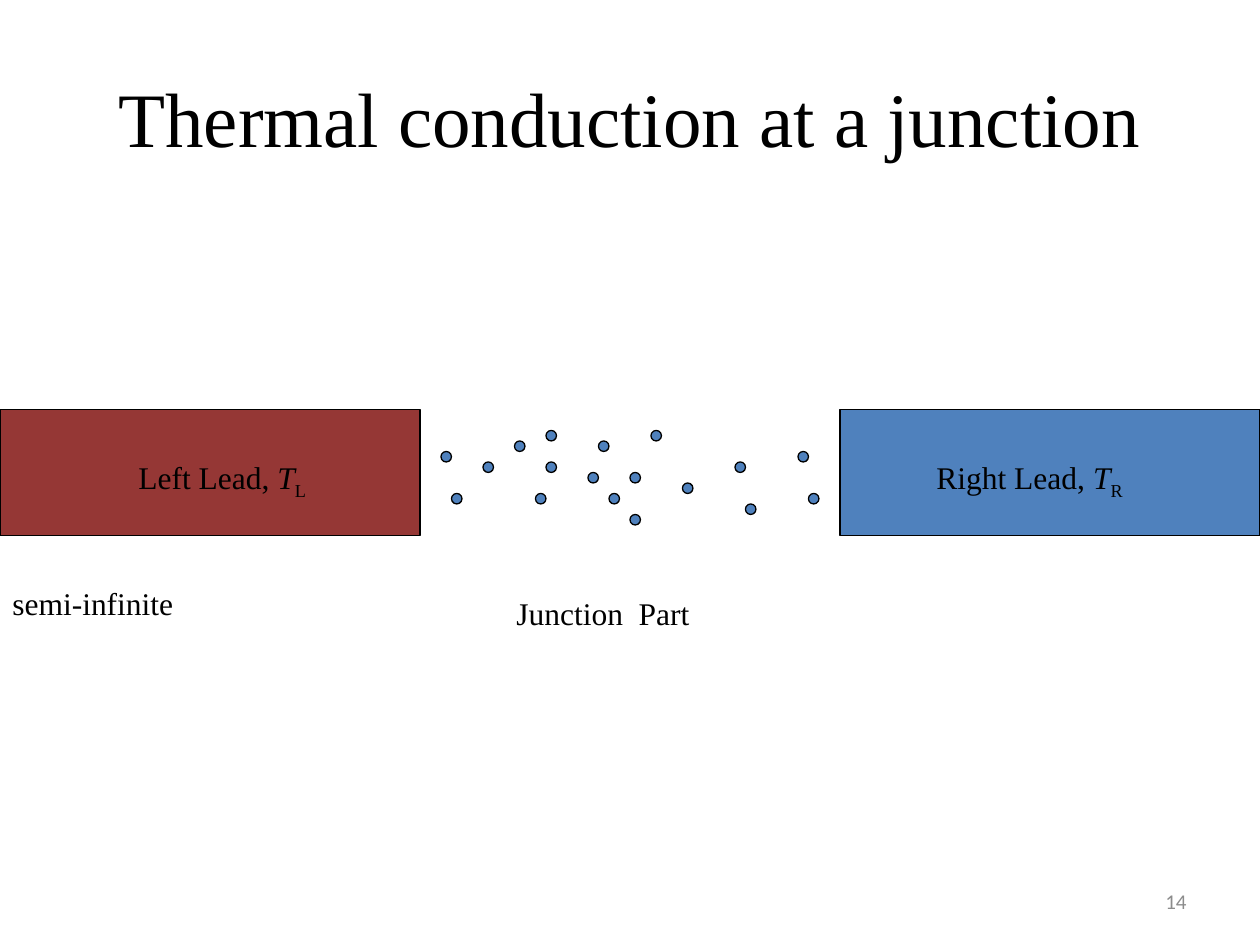
from pptx import Presentation
from pptx.dml.color import RGBColor
from pptx.enum.shapes import MSO_SHAPE
from pptx.enum.text import MSO_ANCHOR, PP_ALIGN
from pptx.util import Pt

COLORS = {"black": "000000", "gray": "8C8C8C", "hot": "953735", "cold": "4F81BD"}
SERIF = {"name": "Times New Roman", "size": Pt(18)}
TITLE = {"name": "Times New Roman", "size": Pt(44)}
NUMBER = {"name": "Calibri", "size": Pt(12)}
GRID = 6

presentation = Presentation()
presentation.slide_width = Pt(720)
presentation.slide_height = Pt(540)
slide = presentation.slides.add_slide(presentation.slide_layouts[6])


def add_solid(kind, bounds, color):
    solid = slide.shapes.add_shape(kind, *[Pt(length) for length in bounds])
    solid.shadow.inherit = False
    solid.fill.solid()
    solid.fill.fore_color.rgb = RGBColor.from_string(COLORS[color])
    solid.line.color.rgb = RGBColor.from_string(COLORS["black"])
    solid.line.width = Pt(0.75)


def add_label(bounds, text, font, color="black", centered=False, symbol="", subscript=""):
    frame = slide.shapes.add_textbox(*[Pt(length) for length in bounds]).text_frame
    frame.word_wrap = True
    frame.vertical_anchor = MSO_ANCHOR.MIDDLE if centered else MSO_ANCHOR.TOP
    paragraph = frame.paragraphs[0]
    paragraph.alignment = PP_ALIGN.CENTER if centered else PP_ALIGN.LEFT
    for part, extra in ((text, {}), (symbol, {"italic": True}), (subscript, {"italic": False})):
        if part:
            run = paragraph.add_run()
            run.text = part
            for attribute, value in {**font, **extra}.items():
                setattr(run.font, attribute, value)
            run.font.color.rgb = RGBColor.from_string(COLORS[color])
    if subscript:
        run.font._element.set("baseline", "-25000")


add_label((558, 500.4, 228, 28.8), "14", NUMBER, "gray", True)
add_label((36, 21.6, 648, 90), "Thermal conduction at a junction", TITLE, centered=True)

for left, color in ((0, "hot"), (480, "cold")):
    add_solid(MSO_SHAPE.RECTANGLE, (left, 234, 240, 72), color)

for left, side in ((72, "Left"), (528, "Right")):
    add_label((left, 258, 126, 28.8), f"{side} Lead, ", SERIF, symbol="T", subscript=side[0])

atoms = [
    (52, 41), (52, 44), (56, 45), (60, 45), (58, 47), (60, 49),
    (62, 41), (65, 46), (70, 44), (71, 48), (76, 43), (77, 47),
    (42, 43), (43, 47), (51, 47), (46, 44), (57, 42), (49, 42),
]
for column, row in atoms:
    add_solid(MSO_SHAPE.OVAL, (column * GRID, row * GRID, GRID, GRID), "cold")

add_label((288, 336, 144, 28.8), "Junction  Part", SERIF)
add_label((0, 330, 114, 28.8), "semi-infinite", SERIF)

presentation.save("out.pptx")
